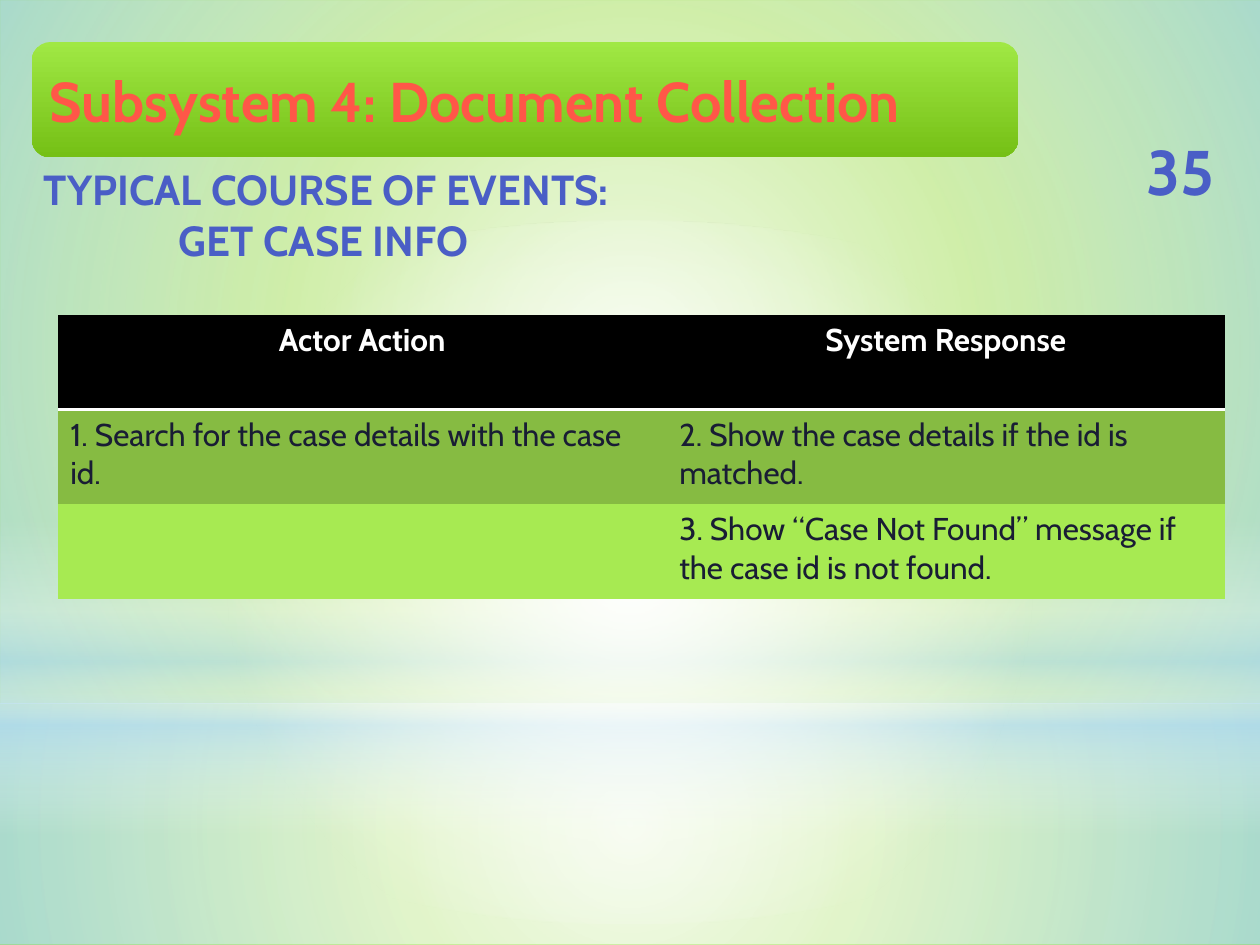
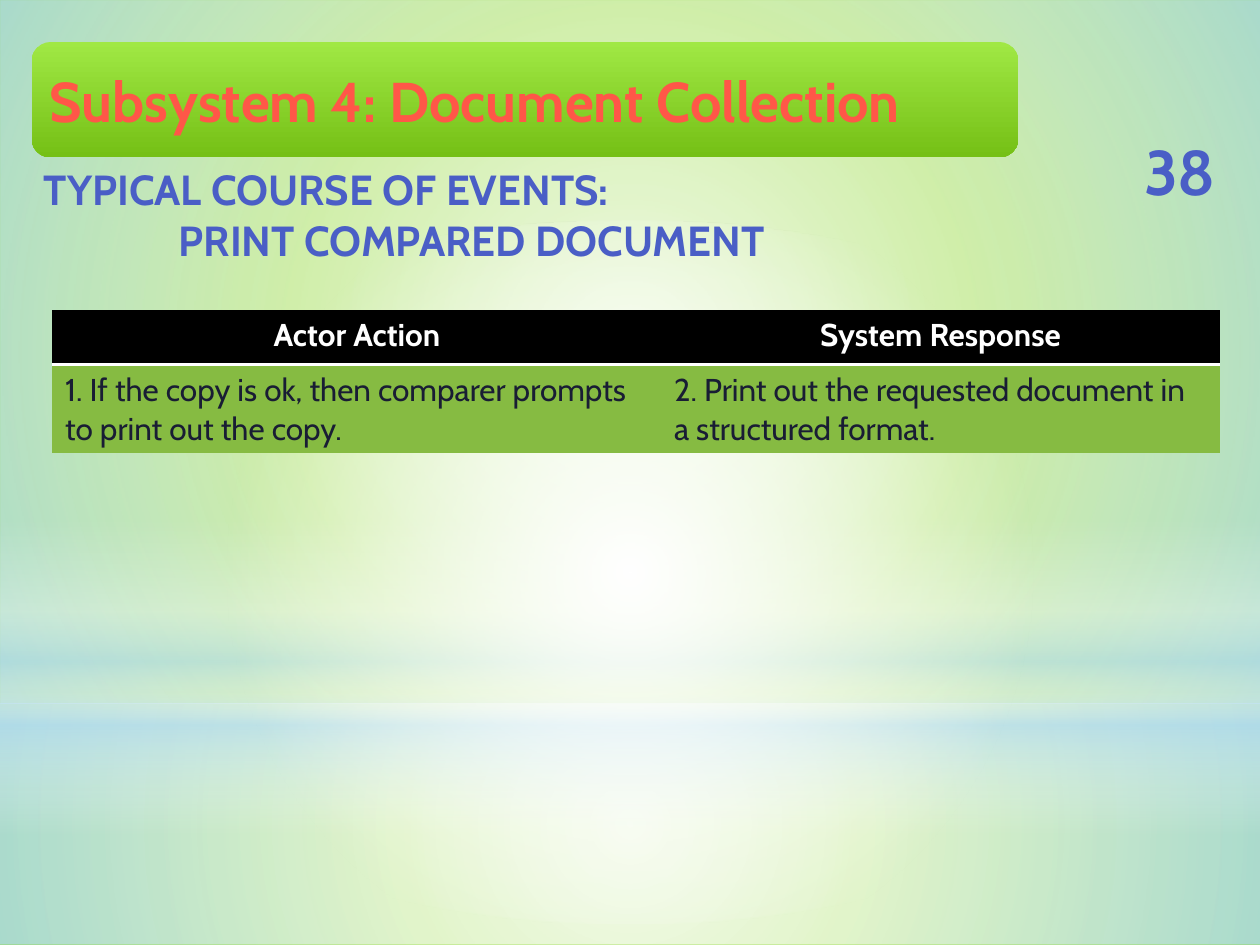
from pptx import Presentation
from pptx.dml.color import RGBColor
from pptx.enum.shapes import MSO_SHAPE
from pptx.enum.text import MSO_ANCHOR, PP_ALIGN
from pptx.oxml import parse_xml
from pptx.oxml.ns import nsdecls, qn
from pptx.util import Inches, Pt

TITLE = "Subsystem 4: Document Collection"
HEADING = "TYPICAL COURSE OF EVENTS:"
HEADERS = ("Actor Action", "System Response")
SLIDES = [
    {"number": "35", "use_case": "GET CASE INFO", "table_at": (11, 60), "rows": (18, 18, 18),
     "events": [("1. Search for the case details with the case id.",
                 "2. Show the case details if the id is matched."),
                ("", "3. Show “Case Not Found” message if the case id is not found.")]},
    {"number": "38", "use_case": "PRINT COMPARED DOCUMENT", "table_at": (10, 59), "rows": (10.5, 16.8),
     "events": [("1. If the copy is ok, then comparer prompts to print out the copy.",
                 "2. Print out the requested document in a structured format.")]},
]

FONT = "Cabin"
WHITE = RGBColor(0xFF, 0xFF, 0xFF)
BLACK = RGBColor(0x00, 0x00, 0x00)
SKY = RGBColor(0xB4, 0xDC, 0xFA)
BACKDROP = RGBColor(0x81, 0xD3, 0x1A)
BAND_TOP = RGBColor(0xA0, 0xE8, 0x44)
BAND_BOTTOM = RGBColor(0x75, 0xC0, 0x16)
CORAL = RGBColor(0xFF, 0x57, 0x48)
BLUE = RGBColor(0x4A, 0x5E, 0xC6)
INK = RGBColor(0x19, 0x1D, 0x34)
ROW_FILLS = (RGBColor(0x86, 0xBB, 0x42), RGBColor(0xA7, 0xEA, 0x52))

WIDTH, HEIGHT = Inches(10), Inches(7.5)
COLUMNS = 240
UNIT = WIDTH / COLUMNS
TABLE_COLUMNS = (116, 106.3)
NO_STYLE = "{2D5ABB26-0587-4C30-8999-92F81FD0307C}"

TITLE_FONT = {"size": Pt(32), "bold": True, "name": FONT}
HEADING_FONT = {"size": Pt(24), "bold": True, "name": FONT}
NUMBER_FONT = {"size": Pt(36), "bold": True, "name": FONT}
HEADER_FONT = {"size": Pt(18), "bold": True, "name": FONT}
EVENT_FONT = {"size": Pt(18), "bold": False, "name": FONT}

CIRCLE = ('<a:path path="circle"><a:fillToRect l="50000" t="50000" '
          'r="50000" b="50000"/></a:path>')
DOWN = '<a:lin ang="5400000" scaled="0"/>'

GLOWS = [
    (MSO_SHAPE.RECTANGLE, (0, 134, 240, 46), CIRCLE,
     [(0, WHITE, 91), (37, WHITE, 76), (100, SKY, 79)]),
    (MSO_SHAPE.RECTANGLE, (0, 0, 240, 134), CIRCLE,
     [(0, WHITE, 89), (48, WHITE, 62), (100, SKY, 79)]),
    (MSO_SHAPE.RECTANGLE, (0, 99, 240, 60), DOWN,
     [(0, WHITE, 0), (29, WHITE, 30), (45, SKY, 40),
      (55, WHITE, 26), (65, SKY, 60), (100, WHITE, 0)]),
    (MSO_SHAPE.OVAL, (0, 42, 240, 134), CIRCLE,
     [(0, WHITE, 100), (56, WHITE, 0)]),
]
TITLE_BAND = (6, 8, 188, 22)
TITLE_STOPS = [(0, BAND_TOP, 100), (100, BAND_BOTTOM, 100)]
NUMBER_BOX = (213, 26, 23.5, 13)
HEADING_BOX = (6, 30, 238, 22)
USE_CASE_INDENT = 25.7


def grid(*lengths):
    return [round(n * UNIT) for n in lengths]


def write(p, text, font, color, align=PP_ALIGN.LEFT):
    p.alignment = align
    r = p.add_run()
    r.text = text
    for name, value in font.items():
        setattr(r.font, name, value)
    r.font.color.rgb = color


def add_gradient_shape(s, kind, box, direction, stops):
    sp = s.shapes.add_shape(kind, *grid(*box))
    sp.shadow.inherit = False
    sp.line.fill.background()
    sp.fill.background()
    stop_xml = "".join(
        f'<a:gs pos="{pos * 1000}"><a:srgbClr val="{color}">'
        f'<a:alpha val="{alpha * 1000}"/></a:srgbClr></a:gs>'
        for pos, color, alpha in stops)
    gradient = parse_xml(f'<a:gradFill {nsdecls("a")} rotWithShape="1">'
                         f'<a:gsLst>{stop_xml}</a:gsLst>{direction}</a:gradFill>')
    spPr = sp._element.spPr
    spPr.replace(spPr.find(qn("a:noFill")), gradient)
    return sp


def add_text_box(s, box, anchor=MSO_ANCHOR.TOP):
    tf = s.shapes.add_textbox(*grid(*box)).text_frame
    tf.word_wrap = True
    tf.vertical_anchor = anchor
    return tf


def add_header_rule(cell):
    cell._tc.get_or_add_tcPr().insert(0, parse_xml(
        f'<a:lnB {nsdecls("a")} w="{Pt(2)}"><a:solidFill>'
        f'<a:srgbClr val="{WHITE}"/></a:solidFill></a:lnB>'))


def add_events_table(s, item):
    box = (*item["table_at"], sum(TABLE_COLUMNS), sum(item["rows"]))
    frame = s.shapes.add_table(len(item["rows"]), len(HEADERS), *grid(*box))
    table = frame.table
    table._tbl.tblPr.find(qn("a:tableStyleId")).text = NO_STYLE
    table.first_row = table.horz_banding = False
    for column, width in zip(table.columns, grid(*TABLE_COLUMNS)):
        column.width = width
    for row, height in zip(table.rows, grid(*item["rows"])):
        row.height = height
    for i, texts in enumerate([HEADERS, *item["events"]]):
        for j, text in enumerate(texts):
            cell = table.cell(i, j)
            cell.fill.solid()
            cell.fill.fore_color.rgb = ROW_FILLS[(i - 1) % 2] if i else BLACK
            p = cell.text_frame.paragraphs[0]
            if i == 0:
                write(p, text, HEADER_FONT, WHITE, PP_ALIGN.CENTER)
                add_header_rule(cell)
            elif text:
                write(p, text, EVENT_FONT, INK)


def add_slide(prs, item):
    s = prs.slides.add_slide(prs.slide_layouts[6])
    s.background.fill.solid()
    s.background.fill.fore_color.rgb = BACKDROP
    for glow in GLOWS:
        add_gradient_shape(s, *glow)

    tf = add_text_box(s, NUMBER_BOX, MSO_ANCHOR.MIDDLE)
    write(tf.paragraphs[0], item["number"], NUMBER_FONT, BLUE, PP_ALIGN.CENTER)

    tf = add_text_box(s, HEADING_BOX)
    write(tf.paragraphs[0], HEADING, HEADING_FONT, BLUE)
    p = tf.add_paragraph()
    p._p.get_or_add_pPr().set("marL", str(grid(USE_CASE_INDENT)[0]))
    write(p, item["use_case"], HEADING_FONT, BLUE)

    add_events_table(s, item)

    sp = add_gradient_shape(s, MSO_SHAPE.ROUNDED_RECTANGLE, TITLE_BAND, DOWN, TITLE_STOPS)
    sp.text_frame.vertical_anchor = MSO_ANCHOR.MIDDLE
    write(sp.text_frame.paragraphs[0], TITLE, TITLE_FONT, CORAL)


def main():
    prs = Presentation()
    prs.slide_width, prs.slide_height = WIDTH, HEIGHT
    for item in SLIDES:
        add_slide(prs, item)
    prs.save("out.pptx")


if __name__ == "__main__":
    main()
